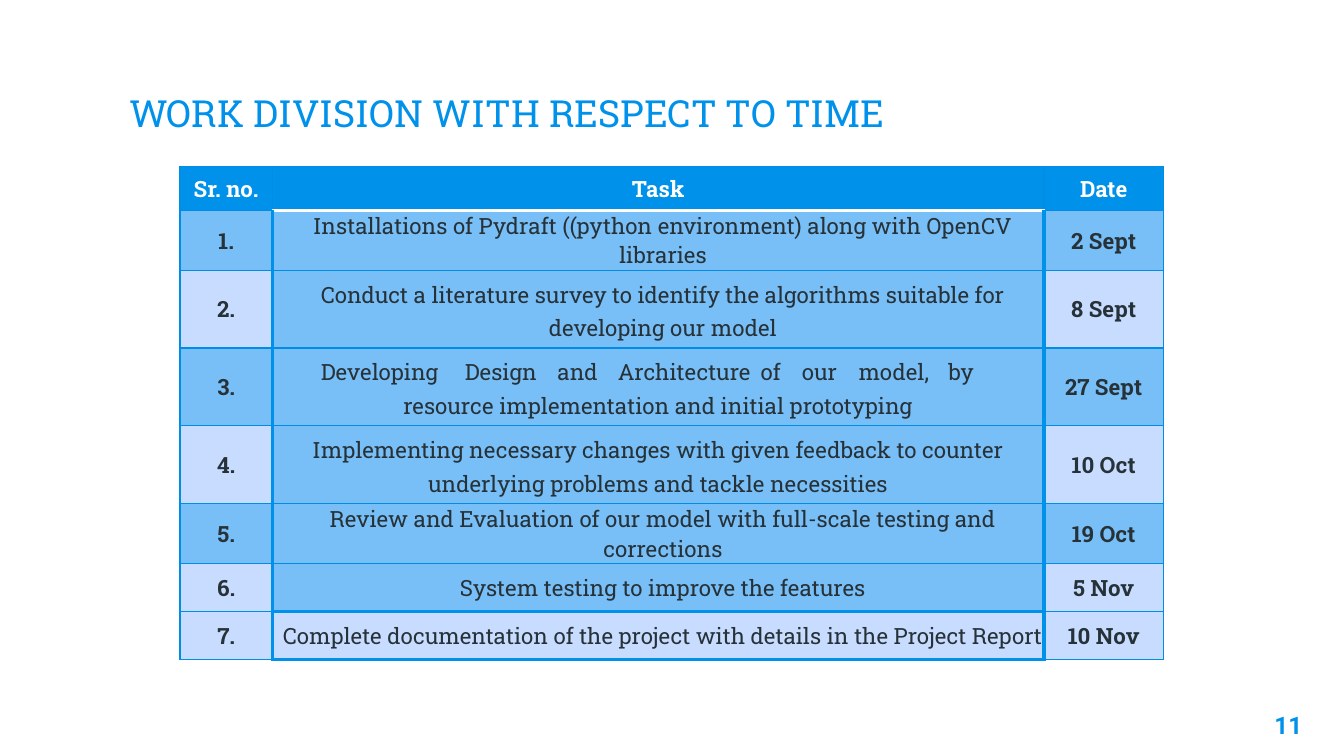
import pptx
import pptx.dml.color
import pptx.enum.text
import pptx.oxml
import pptx.oxml.ns
import pptx.util

Cm, Pt = pptx.util.Cm, pptx.util.Pt
ALIGN, ANCHOR = pptx.enum.text.PP_ALIGN, pptx.enum.text.MSO_ANCHOR

TITLE = "WORK DIVISION WITH RESPECT TO TIME"
PAGE_NUMBER = "11"
HEADER = ("Sr. no.", "Task", "Date")
TASKS = [
    ("Installations of Pydraft ((python environment) along with OpenCV libraries", "2 Sept"),
    ("Conduct a literature survey to identify the algorithms suitable for "
     "developing our model", "8 Sept"),
    ("Developing\tDesign\tand\tArchitecture\tof\tour\tmodel,\tby\t"
     "resource implementation and initial prototyping", "27 Sept"),
    ("Implementing necessary changes with given feedback to counter "
     "underlying problems and tackle necessities", "10 Oct"),
    ("Review and Evaluation of our model with full-scale testing and corrections", "19 Oct"),
    ("System testing to improve the features", "5 Nov"),
    ("Complete documentation of the project with details in the Project Report", "10 Nov"),
]
COLORS = {"accent": "0091EA", "grid": "008EE5", "dark": "78BEF7", "light": "C8DCFF",
          "ink": "263238", "white": "FFFFFF"}
COLUMN_WIDTHS = (1.75, 14.58, 2.26)
ROW_HEIGHTS = (0.83, 1.13, 1.47, 1.47, 1.47, 1.13, 0.91, 0.91)
TABLE_LEFT, TABLE_TOP = 3.4, 3.15
TAB_STOPS = (2.72, 4.47, 5.61, 8.31, 9.09, 10.16, 11.86, 12.75)
TASK_INDENT = 0.18
SPACED_ROWS = (2, 3, 4)   # two-line tasks with wider line spacing
INSET_ROWS = (3, 4)       # tasks indented on the right as well

THIN, THICK, RULE = ("grid", 0.75), ("accent", 2), ("white", 2)
TITLE_FONT = {"size": Pt(20), "name": "Roboto Slab", "bold": False}
NUMBER_FONT = {"size": Pt(13), "name": "Roboto", "bold": True}
CELL_FONT = {"size": Pt(12), "name": "Roboto Slab"}


def rgb(name):
    return pptx.dml.color.RGBColor.from_string(COLORS[name])


def write(paragraph, text, color, font_values, alignment):
    run = paragraph.add_run()
    run.text = text
    for name, value in font_values.items():
        setattr(run.font, name, value)
    run.font.color.rgb = rgb(color)
    paragraph.alignment = alignment


def add_text(slide, box, text, font_values, anchor, alignment):
    frame = slide.shapes.add_textbox(*map(Cm, box)).text_frame
    margins = {f"margin_{side}": Cm(0.25) for side in ("left", "top", "right", "bottom")}
    for name, value in {**margins, "word_wrap": True, "vertical_anchor": anchor}.items():
        setattr(frame, name, value)
    write(frame.paragraphs[0], text, "accent", font_values, alignment)


def set_borders(cell, borders):
    """Draw the borders, given in the order left, right, top, bottom."""
    properties = cell._tc.get_or_add_tcPr()
    for index, (side, (color, width)) in enumerate(zip("LRTB", borders)):
        properties.insert(index, pptx.oxml.parse_xml(
            f'<a:ln{side} {pptx.oxml.ns.nsdecls("a")} w="{Pt(width)}"><a:solidFill>'
            f'<a:srgbClr val="{COLORS[color]}"/></a:solidFill></a:ln{side}>'))


def add_tab_stops(paragraph):
    stops = "".join(f'<a:tab pos="{Cm(stop)}" algn="l"/>' for stop in TAB_STOPS)
    paragraph._p.get_or_add_pPr().append(pptx.oxml.parse_xml(
        f'<a:tabLst {pptx.oxml.ns.nsdecls("a")}>{stops}</a:tabLst>'))


def cell_fill(row, column):
    """Band the outer columns; keep the task column dark and the last row light."""
    if row == 0:
        return "accent"
    if row == len(TASKS):
        return "light"
    return "dark" if column == 1 or row % 2 else "light"


def cell_borders(row, column):
    """Frame the task column, and its last row, with thick lines."""
    last, in_body = len(TASKS), row > 0
    left = THICK if in_body and column > 0 else THIN
    right = THICK if in_body and column < 2 else THIN
    top = bottom = THIN
    if column == 1:
        top = {1: RULE, last: THICK}.get(row, THIN)
        bottom = {0: RULE, last - 1: THICK, last: THICK}.get(row, THIN)
    return left, right, top, bottom


def fill_cell(cell, row, column, text):
    for side in ("left", "top", "right", "bottom"):
        setattr(cell, f"margin_{side}", 0)
    cell.vertical_anchor = ANCHOR.MIDDLE
    cell.fill.solid()
    cell.fill.fore_color.rgb = rgb(cell_fill(row, column))
    set_borders(cell, cell_borders(row, column))

    is_task = row > 0 and column == 1
    paragraph = cell.text_frame.paragraphs[0]
    write(paragraph, text, "ink" if row else "white",
          {**CELL_FONT, "bold": not is_task}, ALIGN.CENTER)
    paragraph.space_before = Pt(5.1 if row in (1, 5) else 4.3)
    if is_task:
        properties = paragraph._p.get_or_add_pPr()
        properties.set("marL", str(Cm(TASK_INDENT)))
        if row in INSET_ROWS:
            properties.set("marR", str(Cm(TASK_INDENT)))
        if row in SPACED_ROWS:
            paragraph.line_spacing = 1.13
        if "\t" in text:
            add_tab_stops(paragraph)


def add_schedule(slide):
    rows = [HEADER] + [(f"{number}.", task, date)
                       for number, (task, date) in enumerate(TASKS, 1)]
    box = (TABLE_LEFT, TABLE_TOP, sum(COLUMN_WIDTHS), sum(ROW_HEIGHTS))
    table = slide.shapes.add_table(len(rows), len(HEADER), *map(Cm, box)).table
    table.first_row = table.horz_banding = False
    for column, width in zip(table.columns, COLUMN_WIDTHS):
        column.width = Cm(width)
    for row, height in zip(table.rows, ROW_HEIGHTS):
        row.height = Cm(height)
    for row, texts in enumerate(rows):
        for column, text in enumerate(texts):
            fill_cell(table.cell(row, column), row, column, text)


def main():
    presentation = pptx.Presentation()
    presentation.slide_width, presentation.slide_height = Cm(25.4), Cm(14.29)
    slide = presentation.slides.add_slide(presentation.slide_layouts[6])
    add_text(slide, (2.19, 0.85, 21.03, 1.96), TITLE, TITLE_FONT, ANCHOR.BOTTOM, ALIGN.LEFT)
    add_text(slide, (23.34, 13.18, 1.52, 1.09), PAGE_NUMBER, NUMBER_FONT,
             ANCHOR.TOP, ALIGN.RIGHT)
    add_schedule(slide)
    presentation.save("out.pptx")


if __name__ == "__main__":
    main()
